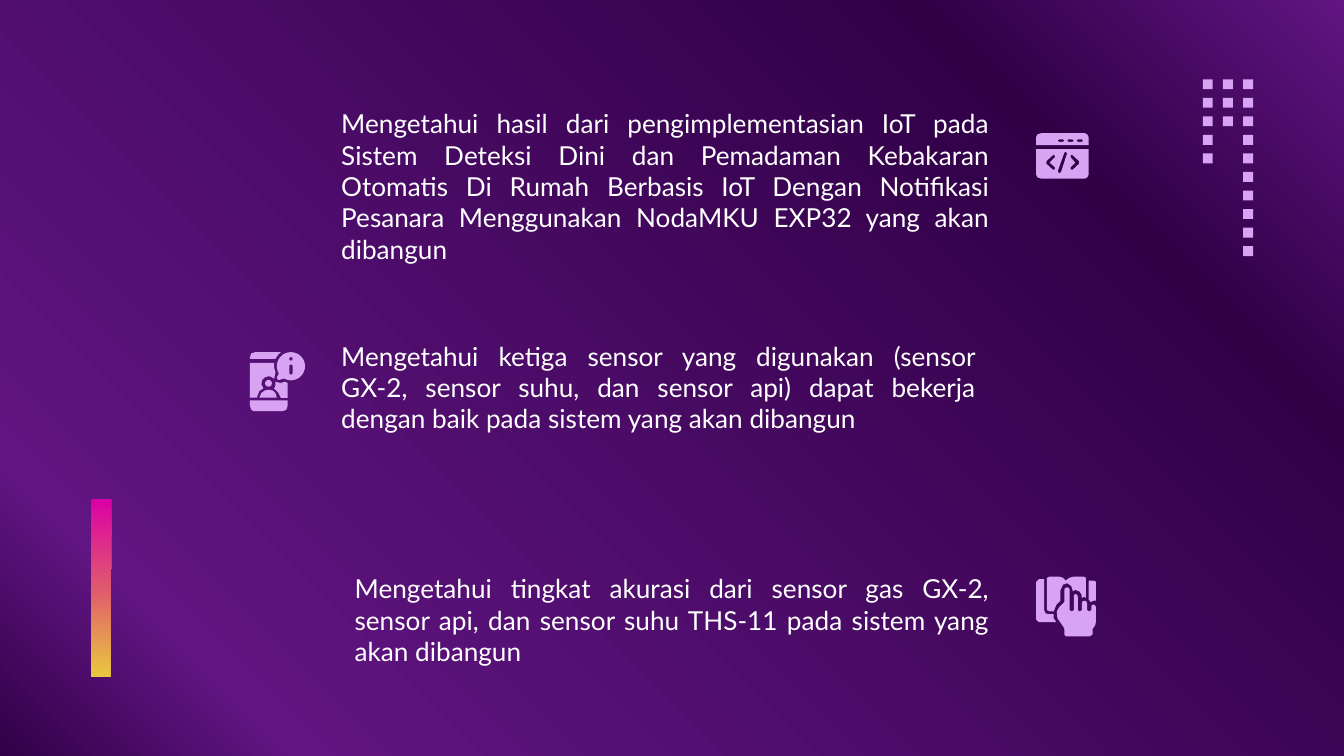
from math import cos, pi, sin

from lxml import etree
from pptx import Presentation
from pptx import util as u
from pptx.dml.color import RGBColor
from pptx.enum import shapes, text
from pptx.oxml.ns import qn

COLORS = {"white": "FFFFFF", "lilac": "D9A3F3", "night": "310047", "violet": "611582",
          "pink": "DB00A6", "coral": "DF596E", "yellow": "EAC93D"}

# Slide: a square grid, 100 columns wide and 56.25 rows high
deck = Presentation()
deck.slide_width, deck.slide_height = u.Inches(10), u.Inches(5.625)
CELL = deck.slide_width / 100
slide = deck.slides.add_slide(deck.slide_layouts[6])


def add_text(words, column, row, columns, rows, size=14, font="Lato", color="white"):
    box = slide.shapes.add_textbox(*(round(n * CELL) for n in (column, row, columns, rows)))
    frame = box.text_frame
    frame.word_wrap = True
    frame.margin_left = frame.margin_right = frame.margin_top = frame.margin_bottom = round(CELL)
    para = frame.paragraphs[0]
    para.alignment = text.PP_ALIGN.JUSTIFY
    span = para.add_run()
    span.text = words
    span.font.size, span.font.name = u.Pt(size), font
    span.font.color.rgb = RGBColor.from_string(COLORS[color])


def add_outline(parent, contours, color="lilac"):
    """Contours are lists of (x, y) in tenths of a cell; inner ones cut holes."""
    scaled = [[(x * CELL / 10, y * CELL / 10) for x, y in points] for points in contours]
    builder = parent.build_freeform(*scaled[0][0], scale=1.0)
    for number, points in enumerate(scaled):
        if number:
            builder.move_to(*points[0])
        builder.add_line_segments(points[1:], close=True)
    shape = builder.convert_to_shape()
    shape.shadow.inherit = False
    shape.line.fill.background()
    shape.fill.solid()
    shape.fill.fore_color.rgb = RGBColor.from_string(COLORS[color])
    return shape


# Three goals
add_text("Mengetahui hasil dari pengimplementasian IoT pada Sistem Deteksi Dini dan Pemadaman "
         "Kebakaran Otomatis Di Rumah Berbasis IoT Dengan Notifikasi Pesanara Menggunakan "
         "NodaMKU EXP32 yang akan dibangun", 24.4, 7, 50.2, 8.8)
add_text("Mengetahui tingkat akurasi dari sensor gas GX-2, sensor api, dan sensor suhu THS-11 "
         "pada sistem yang akan dibangun", 25.4, 41.6, 49.2, 8.8)
add_text("Mengetahui ketiga sensor yang digunakan (sensor GX-2, sensor suhu, dan sensor api) "
         "dapat bekerja dengan baik pada sistem yang akan dibangun", 24.4, 24.3, 49.2, 8.8)

# Gradients of the background and the side bar
bar = add_outline(slide.shapes, [[(68, 504), (68, 371), (83, 371), (82, 504)]])
slide.background.fill.gradient()
slide.background.fill.gradient_angle = 45
bar.fill.gradient()
bar.fill.gradient_angle = 270
gradients = [[(0, "night"), (14, "violet"), (80, "night"), (100, "violet")],
             [(0, "pink"), (50, "coral"), (100, "yellow")]]
for stop_list, stops in zip(slide.element.xpath(".//a:gsLst"), gradients):
    for old in list(stop_list):
        stop_list.remove(old)
    for share, name in stops:
        stop = etree.SubElement(stop_list, qn("a:gs"), pos=str(share * 1000))
        etree.SubElement(stop, qn("a:srgbClr"), val=COLORS[name])

# Hanging columns of square dots
dots = slide.shapes.add_group_shape().shapes
for index, count in enumerate((5, 3, 10)):
    for step in range(count):
        dot = dots.add_shape(shapes.MSO_SHAPE.RECTANGLE, round((89.5 + 1.5 * index) * CELL),
                             round((5.9 + 1.38 * step) * CELL),
                             round(0.74 * CELL), round(0.74 * CELL))
        dot.shadow.inherit = False
        dot.fill.solid()
        dot.fill.fore_color.rgb = RGBColor.from_string(COLORS["lilac"])
        dot.line.fill.background()

# Icons: each is a list of parts, each part a list of contours
ring = [(cos(pi * n / 16), sin(pi * n / 16)) for n in range(32)]
bubble, point, head = ([(x + radius * a, y + radius * b) for a, b in ring]
                       for x, y, radius in ((216.5, 272.5, 10.5), (216.5, 267, 1.3),
                                            (199.8, 285.2, 2.5)))
menu_dots = [[(x, 104.5), (x + 1, 103.7), (x + 4, 103.7), (x + 5, 104.5),
              (x + 4, 105.6), (x + 1, 105.6)] for x in (787, 794, 801)]
code_window = [
    [[(775, 99), (807, 99), (809, 100), (810, 102), (810, 108), (771, 108), (771, 102),
      (772, 100)], *menu_dots],
    [[(771, 111), (810, 111), (810, 130), (809, 132), (807, 133), (775, 133), (772, 132),
      (771, 130)],
     [(784, 115), (785, 116), (785, 117), (781, 121), (785, 124.5), (785, 126), (783.5, 126.4),
      (778.5, 121.8), (778.5, 120)],
     [(797.5, 115), (803, 120), (803, 121.8), (798, 126.4), (796.6, 126), (796.6, 124.5),
      (800, 121), (796.6, 117), (796.6, 116)],
     [(793, 113), (794, 114), (789.5, 128), (788, 129), (787, 127.5), (792, 113.5)]],
]
phone_profile = [
    [[(193, 296), (194.5, 292.5), (197, 290.6), (200, 290), (203, 290.6), (205, 292.5),
      (206, 296)]],
    [[(212, 284), (209, 285), (205, 284), (205, 287), (204, 289), (207, 292), (209, 296),
      (214, 296), (214, 285)]],
    [[(186, 270), (204, 270), (204, 274), (205, 277), (204, 282), (202, 280.5), (200, 280),
      (197, 280.8), (195, 283), (194.5, 286), (196, 289), (193, 291), (191, 296), (186, 296)]],
    [head],
    [bubble, point, [(215.3, 272), (216.5, 271), (217.8, 272), (217.8, 278), (216.5, 279),
                     (215.3, 278)]],
    [[(208, 277), (206, 281), (206.7, 282.5), (208, 282.7), (212, 281.3)]],
    [[(186, 298), (214, 298), (214, 302), (213, 305), (210, 306), (189, 306), (187, 305),
      (186, 302)]],
    [[(190, 262), (209, 262), (207, 264), (205, 267), (186, 267), (186, 266), (187, 263)]],
]
touch_hand = [
    [[(794, 437), (792.5, 437.5), (792, 439), (792, 448), (788, 452), (786.3, 455),
      (786.8, 460), (791, 466), (792, 468), (792, 472), (793, 473.5), (811, 473.5), (813, 472),
      (813, 468), (815, 465), (815.5, 462), (815.5, 452), (814.8, 450.3), (813.5, 449.8),
      (812.2, 450.5), (812, 454), (810.5, 455), (809, 454), (809, 449), (808.3, 447.4),
      (807, 447), (805.5, 447.5), (805, 449), (805, 454), (803.5, 455), (802, 454), (802, 444),
      (801.5, 442.5), (800.3, 442), (799, 443), (799, 454), (797.5, 455), (796, 454), (796, 439),
      (795.5, 437.5)]],
    [[(810, 432), (814, 432), (815.5, 433), (815.5, 447), (814, 447), (811.5, 448), (810, 446)]],
    [[(773, 431), (777, 431), (777, 454), (778, 456.5), (781, 457), (784, 457), (784, 460),
      (786, 463), (773, 463), (771, 461), (771, 433)]],
    [[(781, 429), (788, 429), (791, 430), (793, 432), (795.5, 430), (799, 429), (806, 429),
      (808, 430), (808, 445), (807, 444), (805, 445), (804.5, 442), (803, 440), (800, 439),
      (798, 440), (798, 439), (797, 436), (794, 434), (791, 435), (789, 439), (789, 447),
      (786, 450), (784, 455), (781, 455), (779, 454), (779, 430)]],
]
for icon in (code_window, phone_profile, touch_hand):
    group = slide.shapes.add_group_shape()
    for part in icon:
        add_outline(group.shapes, part)

deck.save("out.pptx")
